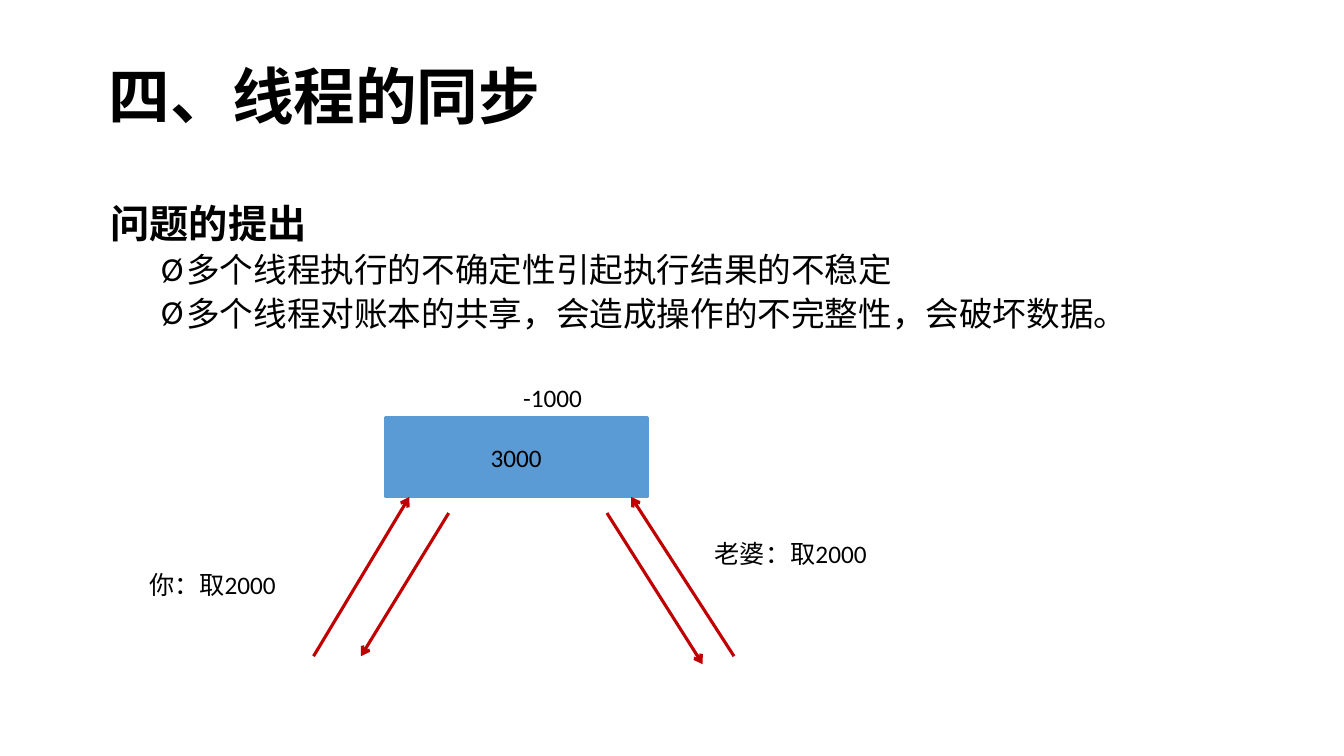
from lxml import etree
from pptx import Presentation
from pptx.dml.color import RGBColor
from pptx.enum.shapes import MSO_CONNECTOR, MSO_SHAPE
from pptx.enum.text import MSO_ANCHOR, MSO_AUTO_SIZE, PP_ALIGN
from pptx.oxml.ns import qn
from pptx.util import Inches, Pt

BLACK = RGBColor(0x00, 0x00, 0x00)
BLUE = RGBColor(0x5B, 0x9B, 0xD5)
RED = RGBColor(0xC0, 0x00, 0x00)
HEADING_FONT = "Times New Roman"
LABEL_FONT = "Calibri"
CHINESE_LABEL_FONT = "Arial"


class SlideBuilder:
    """Holds the slide and draws each kind of element in its style."""

    def __init__(self, slide):
        self.slide = slide

    def style(self, paragraph, size, font, bold=False):
        for run in paragraph.runs:
            run.font.size = Pt(size)
            run.font.name = font
            run.font.bold = bold
            run.font.color.rgb = BLACK

    def title(self, text, left, top, width, height):
        heading = self.slide.shapes.title
        heading.left, heading.top = Inches(left), Inches(top)
        heading.width, heading.height = Inches(width), Inches(height)
        frame = heading.text_frame
        frame.text = text
        frame.auto_size = MSO_AUTO_SIZE.NONE
        frame.vertical_anchor = MSO_ANCHOR.TOP
        paragraph = frame.paragraphs[0]
        paragraph.alignment = PP_ALIGN.LEFT
        paragraph.line_spacing = 0.9
        self.style(paragraph, 44, HEADING_FONT, bold=True)

    def text_box(self, left, top, width, height):
        box = self.slide.shapes.add_textbox(
            Inches(left), Inches(top), Inches(width), Inches(height))
        box.text_frame.word_wrap = True
        return box.text_frame

    def body(self, heading, points, left, top, width, height):
        frame = self.text_box(left, top, width, height)
        frame.text = heading
        lead = frame.paragraphs[0]
        lead.line_spacing = 0.9
        lead.space_before = Pt(10)
        self.style(lead, 28, HEADING_FONT, bold=True)
        for point in points:
            paragraph = frame.add_paragraph()
            paragraph.text = point
            paragraph.level = 1
            paragraph.line_spacing = 0.9
            paragraph.space_before = Pt(5)
            self.style(paragraph, 24, HEADING_FONT)
            self.bullet(paragraph)

    def bullet(self, paragraph):
        properties = paragraph._p.get_or_add_pPr()
        properties.set("marL", str(Inches(0.75)))
        properties.set("indent", str(Inches(-0.25)))
        etree.SubElement(properties, qn("a:buFont"), typeface=LABEL_FONT)
        etree.SubElement(properties, qn("a:buChar"), char="Ø")

    def label(self, amount, left, top, width, who=""):
        """Writes an amount, after the Chinese words in their own font."""
        paragraph = self.text_box(left, top, width, 0.4).paragraphs[0]
        paragraph.text = who
        self.style(paragraph, 18, CHINESE_LABEL_FONT)
        amount_run = paragraph.add_run()
        amount_run.text = amount
        amount_run.font.size = Pt(18)
        amount_run.font.name = LABEL_FONT
        amount_run.font.color.rgb = BLACK

    def account(self, balance, left, top, width, height):
        box = self.slide.shapes.add_shape(
            MSO_SHAPE.RECTANGLE, Inches(left), Inches(top), Inches(width), Inches(height))
        box.shadow.inherit = False
        box.fill.solid()
        box.fill.fore_color.rgb = BLUE
        box.line.color.rgb = BLUE
        box.line.width = Pt(2)
        frame = box.text_frame
        frame.text = balance
        frame.vertical_anchor = MSO_ANCHOR.MIDDLE
        frame.paragraphs[0].alignment = PP_ALIGN.CENTER
        self.style(frame.paragraphs[0], 18, LABEL_FONT)

    def arrow(self, start, end):
        connector = self.slide.shapes.add_connector(
            MSO_CONNECTOR.STRAIGHT, *map(Inches, start + end))
        connector.line.color.rgb = RED
        connector.line.width = Pt(2.25)
        etree.SubElement(connector.line._get_or_add_ln(), qn("a:tailEnd"), type="arrow")
        etree.SubElement(connector._element.spPr, qn("a:effectLst"))


def main():
    presentation = Presentation()
    presentation.slide_width = Inches(13.33)
    presentation.slide_height = Inches(7.5)
    builder = SlideBuilder(presentation.slides.add_slide(presentation.slide_layouts[5]))

    builder.title("四、线程的同步", 0.98, 0.61, 11.5, 1.45)
    builder.body("问题的提出", [
        "多个线程执行的不确定性引起执行结果的不稳定",
        "多个线程对账本的共享，会造成操作的不完整性，会破坏数据。",
    ], 1, 1.98, 11.5, 4.76)

    builder.account("3000", 3.82, 4.14, 2.6, 0.79)
    builder.label("-1000", 5.09, 3.74, 0.91)
    builder.label("2000", 1.38, 5.6, 1.73, who="你：取")
    builder.label("2000", 6.99, 5.29, 2.44, who="老婆：取")

    requests = [((3.11, 6.51), (4.06, 4.93)), ((7.28, 6.51), (6.26, 4.93))]
    replies = [((4.45, 5.09), (3.58, 6.51)), ((6.02, 5.09), (6.97, 6.59))]
    for start, end in requests + replies:
        builder.arrow(start, end)

    presentation.save("out.pptx")


if __name__ == "__main__":
    main()
